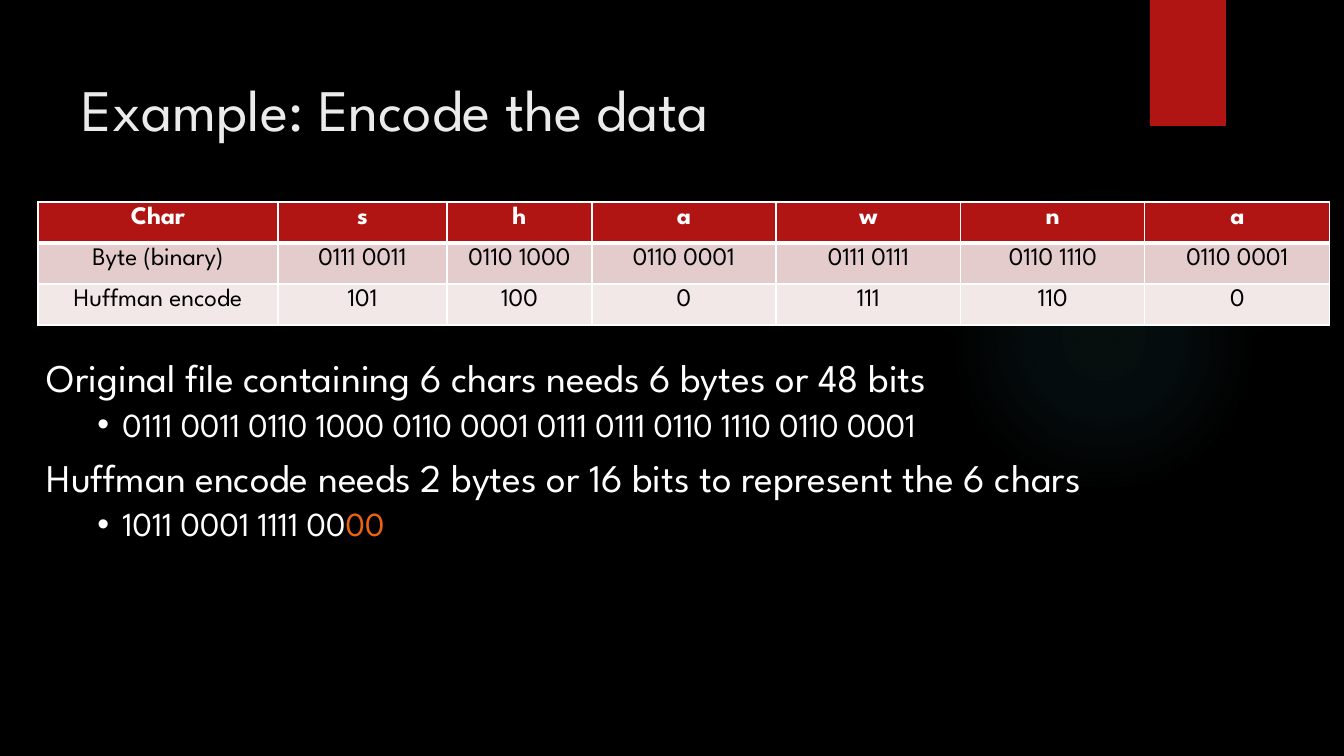
from lxml.etree import SubElement
from pptx import Presentation
from pptx.dml.color import RGBColor
from pptx.enum.shapes import MSO_SHAPE
from pptx.enum.text import PP_ALIGN
from pptx.oxml import parse_xml
from pptx.oxml.ns import nsdecls, qn
from pptx.util import Pt

FONT = "League Spartan"
BLACK = RGBColor(0x00, 0x00, 0x00)
WHITE = RGBColor(0xFF, 0xFF, 0xFF)
TITLE_GRAY = RGBColor(0xEB, 0xEB, 0xEB)
RED = RGBColor(0xB0, 0x15, 0x13)
ROSE = RGBColor(0xE4, 0xCC, 0xCC)
PALE_ROSE = RGBColor(0xF2, 0xE8, 0xE7)
ORANGE = RGBColor(0xEA, 0x63, 0x12)
TEAL = RGBColor(0x50, 0xB9, 0xC1)

# Content
TITLE = "Example: Encode the data"
CODES = [
    ("Char", "s", "h", "a", "w", "n", "a"),
    ("Byte (binary)", "0111 0011", "0110 1000", "0110 0001",
     "0111 0111", "0110 1110", "0110 0001"),
    ("Huffman encode", "101", "100", "0", "111", "110", "0"),
]
ROW_STYLES = [(RED, WHITE, True), (ROSE, BLACK, False), (PALE_ROSE, BLACK, False)]
COLUMN_WIDTHS = (240, 169, 145, 184, 185, 184, 185)
ROW_HEIGHT = 41
# Each line: level, then (text, colour) runs
BODY = [
    (0, [("Original file containing 6 chars needs 6 bytes or 48 bits", WHITE)]),
    (1, [("0111 0011 0110 1000 0110 0001 0111 0111 0110 1110 0110 0001", WHITE)]),
    (0, [("Huffman encode needs 2 bytes or 16 bits to represent the 6 chars", WHITE)]),
    (1, [("1011 0001 1111 00", WHITE), ("00", ORANGE)]),
]
LEVEL_SIZES = (28, 24)
LEVEL_SPACING = (10, 5)
GLOW_STOPS = [(0, 7), (36, 6), (69, 0), (100, 0)]  # position %, opacity %


def px(length):
    return round(length * 12192000 / 1344)


def area(left, top, width, height):
    return [px(length) for length in (left, top, width, height)]


def add_span(para, text, size, color, bold=False):
    span = para.add_run()
    span.text = text
    span.font.name = FONT
    span.font.size = Pt(size)
    span.font.bold = bold
    span.font.color.rgb = color


def add_plain_shape(kind, *place):
    shape = page.shapes.add_shape(kind, *area(*place))
    shape.shadow.inherit = False
    shape.line.fill.background()
    return shape


def add_text_frame(*place):
    frame = page.shapes.add_textbox(*area(*place)).text_frame
    frame.word_wrap = True
    return frame


def add_border(cell, side, points):
    cell.fill_properties = cell._tc.get_or_add_tcPr()
    

def set_borders(cell, bottom):
    properties = cell._tc.get_or_add_tcPr()
    sides = [("lnL", 1), ("lnR", 1), ("lnT", 1), ("lnB", bottom)]
    for index, (side, points) in enumerate(sides):
        properties.insert(index, parse_xml(
            f'<a:{side} {nsdecls("a")} w="{Pt(points)}"><a:solidFill>'
            f'<a:srgbClr val="{WHITE}"/></a:solidFill></a:{side}>'))


deck = Presentation()
deck.slide_width, deck.slide_height = px(1344), px(756)
page = deck.slides.add_slide(deck.slide_layouts[6])
page.background.fill.solid()
page.background.fill.fore_color.rgb = BLACK

# Soft glow and red ribbon
glow = add_plain_shape(MSO_SHAPE.OVAL, 949, 184, 310, 310)
glow.fill.background()
stops = "".join(
    f'<a:gs pos="{position * 1000}"><a:srgbClr val="{TEAL}">'
    f'<a:alpha val="{opacity * 1000}"/></a:srgbClr></a:gs>'
    for position, opacity in GLOW_STOPS)
properties = glow._element.spPr
properties.replace(properties.find(qn("a:noFill")), parse_xml(
    f'<a:gradFill {nsdecls("a")}><a:gsLst>{stops}</a:gsLst><a:path path="circle">'
    '<a:fillToRect l="50000" t="50000" r="50000" b="50000"/></a:path></a:gradFill>'))

ribbon = add_plain_shape(MSO_SHAPE.RECTANGLE, 1150, 0, 76, 126)
ribbon.fill.solid()
ribbon.fill.fore_color.rgb = RED

# Title
title = add_text_frame(72, 50, 1037, 154)
title.margin_top = px(23)
add_span(title.paragraphs[0], TITLE, 42, TITLE_GRAY)

# Code table
table = page.shapes.add_table(
    len(CODES), len(COLUMN_WIDTHS),
    *area(38, 202, sum(COLUMN_WIDTHS), ROW_HEIGHT * len(CODES))).table
for column, width in zip(table.columns, COLUMN_WIDTHS):
    column.width = px(width)
for row_index, (values, style) in enumerate(zip(CODES, ROW_STYLES)):
    fill_color, text_color, bold = style
    table.rows[row_index].height = px(ROW_HEIGHT)
    for column_index, value in enumerate(values):
        cell = table.cell(row_index, column_index)
        cell.fill.solid()
        cell.fill.fore_color.rgb = fill_color
        set_borders(cell, 3 if row_index == 0 else 1)
        para = cell.text_frame.paragraphs[0]
        para.alignment = PP_ALIGN.CENTER
        add_span(para, value, 18, text_color, bold)

# Comparison of sizes
body = add_text_frame(37, 354, 1307, 276)
for index, (level, spans) in enumerate(BODY):
    para = body.add_paragraph() if index else body.paragraphs[0]
    para.level = level
    para.line_spacing = 0.9
    para.space_before = Pt(LEVEL_SPACING[level])
    if level:
        layout = para._p.get_or_add_pPr()
        layout.set("marL", str(Pt(54)))
        layout.set("indent", str(-Pt(18)))
        SubElement(layout, qn("a:buFont")).set("typeface", "Arial")
        SubElement(layout, qn("a:buChar")).set("char", "•")
    for text, color in spans:
        add_span(para, text, LEVEL_SIZES[level], color)

deck.save("out.pptx")
